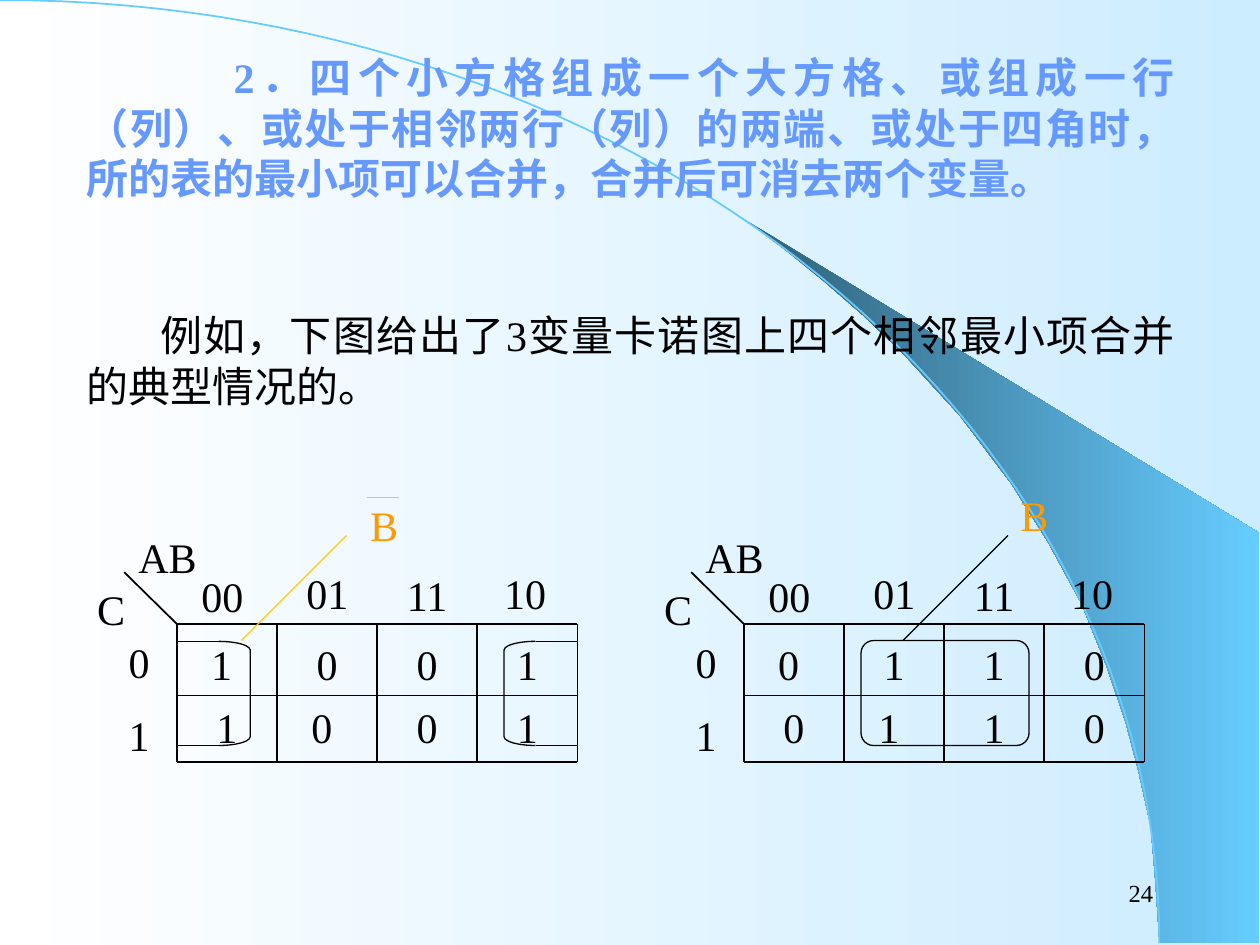
from pptx import Presentation
from pptx.dml.color import RGBColor
from pptx.enum.shapes import MSO_CONNECTOR as Connector, MSO_SHAPE as Preset
from pptx.enum.text import MSO_ANCHOR as Anchor, PP_ALIGN as Align
from pptx.oxml.ns import qn
from pptx.util import Pt

BLACK, SKY, ORANGE, YELLOW = "000000", "66CCFF", "FF9900", "FFCC00"
COLUMN_WIDTH = 57.25
ROW_EDGES = (356.5, 397.5, 435.5)
CELL_TOPS = (361.5, 397.5)
NUDGED_CELLS = {(0, 0), (1, 1)}
MAP_LABELS = (("00", 7, 322.5), ("01", 67, 321), ("11", 124.5, 322), ("10", 180, 320.5),
              ("AB", -29, 300), ("C", -52.5, 330), ("0", -34.5, 360), ("1", -34.5, 402))
SWOOSH = ((662.5, 538.5), (719.5, 539), (719.5, 304.5), (424, 124.5), (449, 143),
          (470, 160), (493, 180), (515.5, 201.5), (548.5, 237.5), (578, 276.5),
          (599, 310), (618, 345), (632, 380), (643, 412), (650, 438.5),
          (657.5, 472), (660, 501))
RULE = ("2．四个小方格组成一个大方格、或组成一行（列）、或处于相邻两行（列）的两端、"
        "或处于四角时，所的表的最小项可以合并，合并后可消去两个变量。")
EXAMPLE = "例如，下图给出了3变量卡诺图上四个相邻最小项合并的典型情况的。"


def color(code):
    """Turn a hex string into a colour."""
    return RGBColor.from_string(code)


def set_gradient(fill, start, end):
    """Give a fill a left-to-right gradient."""
    fill.gradient()
    fill.gradient_angle = 0
    for stop, code in zip(fill.gradient_stops, (start, end)):
        stop.color.rgb = color(code)


def add_text(slide, text, left, top, width, height, size=24, code=BLACK, bold=False,
             align=Align.LEFT, anchor=Anchor.TOP, indent=0):
    """Add a one-paragraph text box."""
    frame = slide.shapes.add_textbox(Pt(left), Pt(top), Pt(width), Pt(height)).text_frame
    frame.word_wrap = True
    frame.vertical_anchor = anchor
    paragraph = frame.paragraphs[0]
    paragraph.alignment = align
    if indent:
        paragraph._p.get_or_add_pPr().set("indent", str(Pt(indent)))
    run = paragraph.add_run()
    run.text = text
    run.font.name = "Times New Roman"
    run.font.size = Pt(size)
    run.font.bold = bold
    run.font.color.rgb = color(code)


def add_line(slide, x1, y1, x2, y2, code=BLACK, width=1):
    """Add a straight line without a shadow."""
    line = slide.shapes.add_connector(Connector.STRAIGHT, Pt(x1), Pt(y1), Pt(x2), Pt(y2))
    line.line.color.rgb = color(code)
    line.line.width = Pt(width)
    properties = line._element.spPr
    properties.append(properties.makeelement(qn("a:effectLst"), {}))


def add_outline(slide, preset, left, top, width, height, adjustment):
    """Add an unfilled preset shape with a thin black outline."""
    shape = slide.shapes.add_shape(preset, Pt(left), Pt(top), Pt(width), Pt(height))
    shape.adjustments[0] = adjustment
    shape.shadow.inherit = False
    shape.fill.background()
    shape.line.color.rgb = color(BLACK)
    shape.line.width = Pt(0.75)


def add_freeform(slide, points, closed):
    """Add a freeform through the points."""
    vertices = [(Pt(x), Pt(y)) for x, y in points]
    builder = slide.shapes.build_freeform(*vertices[0], scale=1.0)
    builder.add_line_segments(vertices[1:], close=closed)
    shape = builder.convert_to_shape()
    shape.shadow.inherit = False
    return shape


def curve_points(start, control1, control2, end, steps=60):
    """Sample a cubic curve at equal parameter steps."""
    points = []
    for step in range(steps + 1):
        t = step / steps
        weights = ((1 - t) ** 3, 3 * t * (1 - t) ** 2, 3 * t * t * (1 - t), t ** 3)
        points.append(tuple(sum(weight * value for weight, value in zip(weights, values))
                            for values in zip(start, control1, control2, end)))
    return points


def add_backdrop(slide):
    """Add the background gradient, the swoosh and the long arc."""
    set_gradient(slide.background.fill, "FFFFFF", "CCECFF")
    swoosh = add_freeform(slide, SWOOSH, True)
    set_gradient(swoosh.fill, "2F5E76", SKY)
    swoosh.line.fill.background()
    arc = add_freeform(slide, curve_points((0, 0), (366, 0), (662.5, 241), (662.5, 539)), False)
    arc.fill.background()
    arc.line.color.rgb = color(SKY)
    arc.line.width = Pt(1)


def add_karnaugh_map(slide, left, rows):
    """Add the grid, labels and cell values of a three-variable map."""
    for row, values in enumerate(rows):
        for column, value in enumerate(values):
            nudge = 3 if (row, column) in NUDGED_CELLS else 0
            add_text(slide, value, left + column * COLUMN_WIDTH - nudge, CELL_TOPS[row],
                     COLUMN_WIDTH, 41, align=Align.CENTER)
    for edge in ROW_EDGES:
        add_line(slide, left, edge, left + 4 * COLUMN_WIDTH, edge)
    for column in range(5):
        x = left + column * COLUMN_WIDTH
        add_line(slide, x, ROW_EDGES[0], x, ROW_EDGES[-1])
    add_line(slide, left - 30, 327, left, ROW_EDGES[0])
    for text, offset, top in MAP_LABELS:
        add_text(slide, text, left + offset, top, 50, 36)


def add_edge_group(slide, left):
    """Mark the group that joins the two outer columns."""
    right = left + 4 * COLUMN_WIDTH
    add_outline(slide, Preset.RIGHT_BRACKET, left + 24, 366.5, 18, 59.5, 0.28)
    add_outline(slide, Preset.LEFT_BRACKET, right - 42, 366.5, 18, 59.5, 0.28)
    for y in (366.5, 426):
        add_line(slide, left, y, left + 24, y, width=0.75)
        add_line(slide, right - 24, y, right, y, width=0.75)
    add_line(slide, 138, 366, 198, 306, YELLOW, 0.75)
    add_text(slide, "B", 204.5, 282, 30, 36, code=ORANGE, align=Align.CENTER)
    add_line(slide, 210, 284.5, 228, 284.5, YELLOW, 0.75)


def add_middle_group(slide):
    """Mark the group in the two middle columns."""
    add_outline(slide, Preset.ROUNDED_RECTANGLE, 492, 366, 96, 60, 0.12)
    add_line(slide, 516, 366, 576, 306, width=0.75)
    add_text(slide, "B", 576, 276, 30, 36, code=ORANGE, align=Align.CENTER)


def main():
    """Build the slide and save it."""
    presentation = Presentation()
    presentation.slide_width, presentation.slide_height = Pt(720), Pt(540)
    slide = presentation.slides.add_slide(presentation.slide_layouts[6])
    add_backdrop(slide)
    add_text(slide, "24", 516, 492, 150, 36, size=14, align=Align.RIGHT, anchor=Anchor.MIDDLE)
    add_text(slide, RULE, 42.5, 26, 636, 93.5, code="6699FF", bold=True,
             align=Align.JUSTIFY, indent=84)
    add_text(slide, EXAMPLE, 42.5, 173.5, 636, 65, align=Align.JUSTIFY, indent=42)
    add_karnaugh_map(slide, 425, ("0110", "0110"))
    add_middle_group(slide)
    add_karnaugh_map(slide, 101, ("1001", "1001"))
    add_edge_group(slide, 101)
    presentation.save("out.pptx")


if __name__ == "__main__":
    main()
